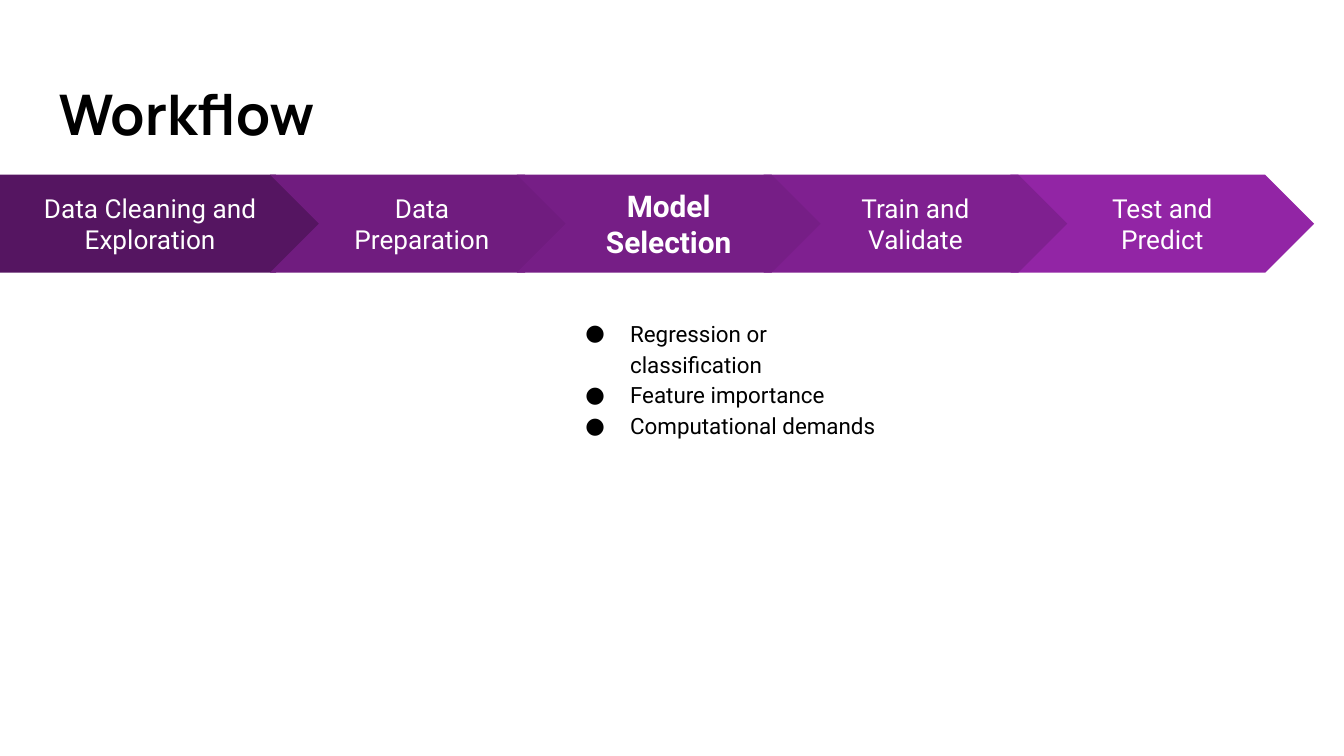
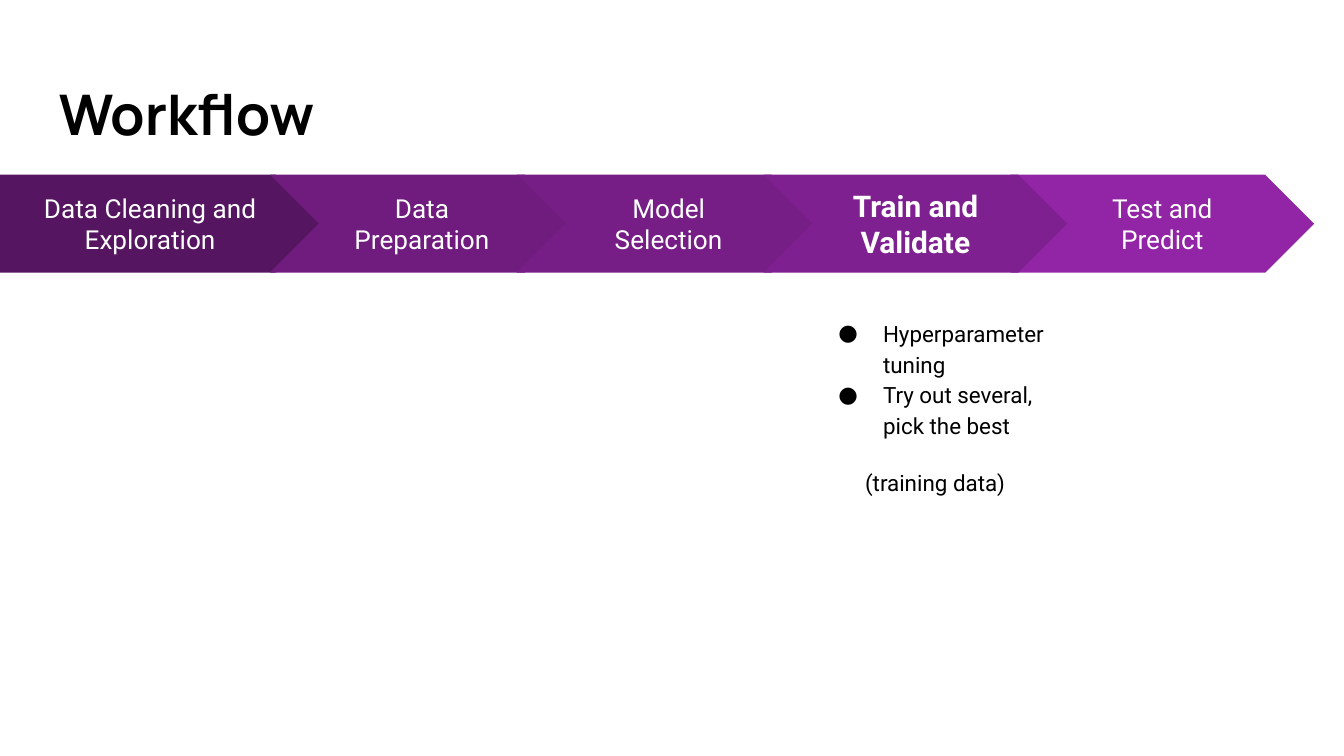
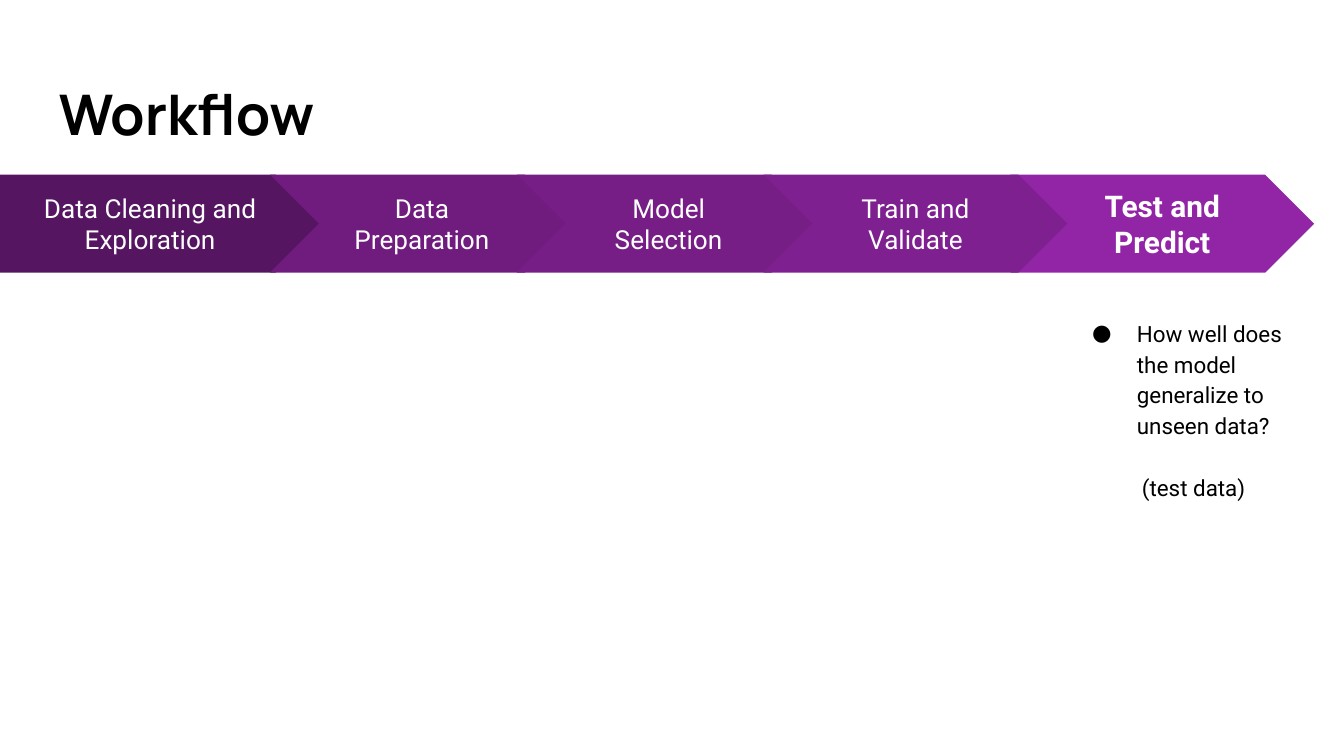
import pptx
import pptx.dml.color
import pptx.enum.shapes
import pptx.enum.text
import pptx.util
from lxml import etree
from pptx.oxml.ns import qn

Pt = pptx.util.Pt
MSO_SHAPE = pptx.enum.shapes.MSO_SHAPE
CENTER = pptx.enum.text.PP_ALIGN.CENTER

BLACK, WHITE = "000000", "FFFFFF"
TITLE_FORMAT = {"name": "Manrope", "size": Pt(30), "bold": True}
STAGE_FORMAT = {"name": "Roboto", "size": Pt(14), "bold": False}
ACTIVE_FORMAT = {"name": "Roboto", "size": Pt(16), "bold": True}
BODY_FORMAT = {"name": "Roboto", "size": Pt(12), "bold": False}

STAGES = [
    ("Data Cleaning and Exploration", "551561"),
    ("Data Preparation", "701C7F"),
    ("Model Selection", "761E86"),
    ("Train and Validate", "7F2090"),
    ("Test and Predict", "9225A5"),
]
BAND_TOP, BAND_HEIGHT = 93.6, 52.5
FIRST_WIDTH, CHEVRON_WIDTH = 174, 162.7
CHEVRON_LEFT, CHEVRON_PITCH = 144.7, 132.2
DETAILS_TOP, DETAILS_HEIGHT = 162, 185

SLIDES = [
    {"active": 2, "left": 294.5, "width": 192.2, "note": None, "note_gap": 0,
     "bullets": ["Regression or classification", "Feature importance",
                 "Computational demands"]},
    {"active": 3, "left": 430, "width": 142, "note": "(training data)", "note_gap": 14,
     "bullets": ["Hyperparameter tuning", "Try out several, pick the best"]},
    {"active": 4, "left": 566, "width": 147, "note": "(test data)", "note_gap": 16.5,
     "bullets": ["How well does the model generalize to unseen data?"]},
]


def rgb(value):
    return pptx.dml.color.RGBColor.from_string(value)


def add_run(paragraph, text, formats, color):
    run = paragraph.add_run()
    run.text = text
    for name, value in formats.items():
        setattr(run.font, name, value)
    run.font.color.rgb = rgb(color)


presentation = pptx.Presentation()
presentation.slide_width = Pt(720)
presentation.slide_height = Pt(405)

for content in SLIDES:
    slide = presentation.slides.add_slide(presentation.slide_layouts[6])

    title = slide.shapes.add_textbox(Pt(24.5), Pt(35.3), Pt(671), Pt(49))
    title.text_frame.word_wrap = True
    title.text_frame.margin_top = title.text_frame.margin_bottom = Pt(7.2)
    add_run(title.text_frame.paragraphs[0], "Workflow", TITLE_FORMAT, BLACK)

    # From the active stage on, each chevron overlaps the one to its right.
    turn = min(content["active"], 3)
    stacking = [*range(turn), *reversed(range(turn, len(STAGES)))]
    for index in stacking:
        label, color = STAGES[index]
        if index == 0:
            preset, left, width = MSO_SHAPE.PENTAGON, 0, FIRST_WIDTH
        else:
            preset, width = MSO_SHAPE.CHEVRON, CHEVRON_WIDTH
            left = CHEVRON_LEFT + (index - 1) * CHEVRON_PITCH
        stage = slide.shapes.add_shape(
            preset, Pt(left), Pt(BAND_TOP), Pt(width), Pt(BAND_HEIGHT))
        stage.shadow.inherit = False
        stage.fill.solid()
        stage.fill.fore_color.rgb = rgb(color)
        stage.line.fill.background()
        frame = stage.text_frame
        frame.word_wrap = True
        frame.vertical_anchor = pptx.enum.text.MSO_ANCHOR.MIDDLE
        frame.margin_top = frame.margin_bottom = Pt(7.2)
        paragraph = frame.paragraphs[0]
        paragraph.alignment = CENTER
        formats = ACTIVE_FORMAT if index == content["active"] else STAGE_FORMAT
        add_run(paragraph, label, formats, WHITE)

    details = slide.shapes.add_textbox(
        Pt(content["left"]), Pt(DETAILS_TOP), Pt(content["width"]), Pt(DETAILS_HEIGHT))
    frame = details.text_frame
    frame.word_wrap = True
    frame.margin_top = frame.margin_bottom = Pt(7.2)
    for number, text in enumerate(content["bullets"]):
        paragraph = frame.add_paragraph() if number else frame.paragraphs[0]
        paragraph.line_spacing = 1.15
        properties = paragraph._p.get_or_add_pPr()
        properties.set("marL", str(Pt(36)))
        properties.set("indent", str(-Pt(24)))
        bullet_color = etree.SubElement(properties, qn("a:buClr"))
        etree.SubElement(bullet_color, qn("a:srgbClr"), val=BLACK)
        etree.SubElement(properties, qn("a:buFont"), typeface="Roboto")
        etree.SubElement(properties, qn("a:buChar"), char="●")
        add_run(paragraph, text, BODY_FORMAT, BLACK)
    if content["note"]:
        paragraph = frame.add_paragraph()
        paragraph.alignment = CENTER
        paragraph.line_spacing = 1.15
        paragraph.space_before = Pt(content["note_gap"])
        add_run(paragraph, content["note"], BODY_FORMAT, BLACK)

presentation.save("out.pptx")
